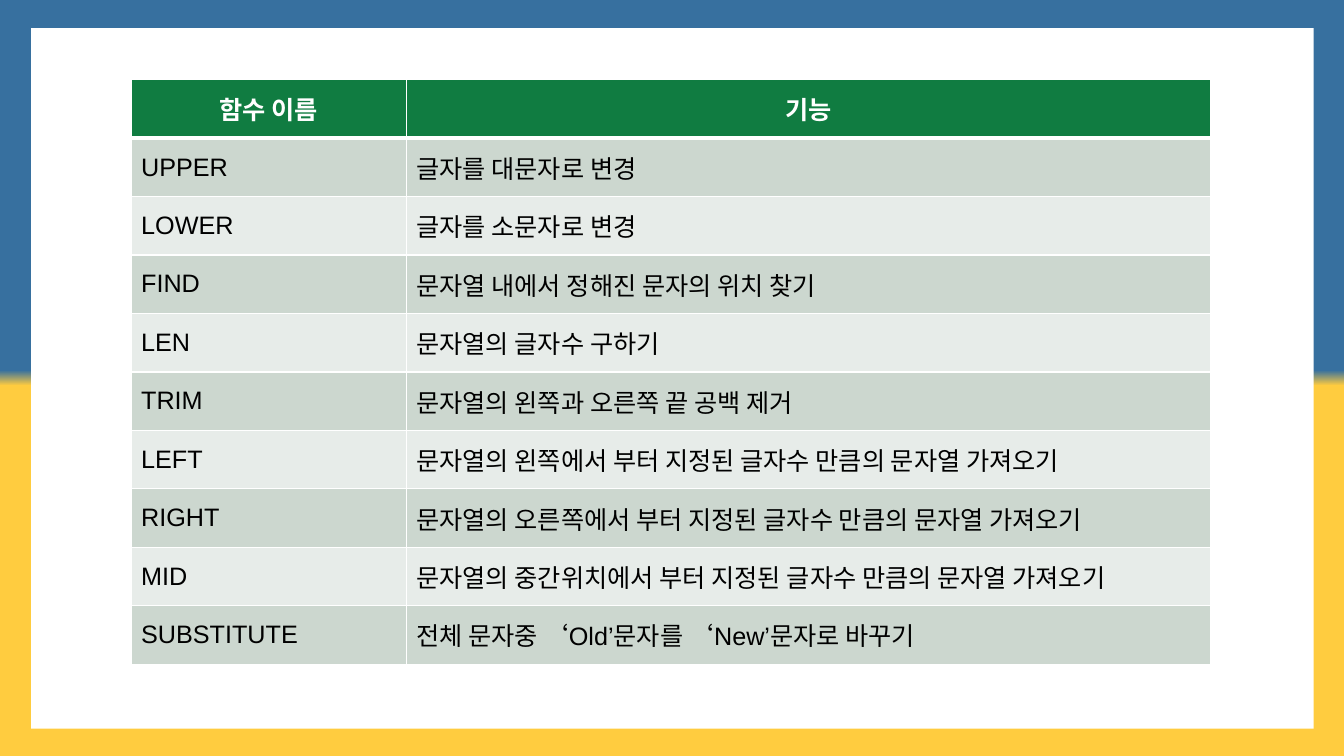
from copy import deepcopy

from lxml import etree
from pptx import Presentation
from pptx.dml.color import RGBColor
from pptx.enum import shapes, text
from pptx.oxml.ns import qn
from pptx.util import Inches, Pt

BLUE = RGBColor(0x37, 0x70, 0x9F)
YELLOW = RGBColor(0xFF, 0xCC, 0x3F)
WHITE = RGBColor(0xFF, 0xFF, 0xFF)
BLACK = RGBColor(0, 0, 0)
GREEN = RGBColor(0x10, 0x7C, 0x41)
DARK = RGBColor(0xCC, 0xD7, 0xCF)
LIGHT = RGBColor(0xE7, 0xEC, 0xE9)

HEAD = ("함수 이름", "기능")
FUNCS = [
    ("UPPER", "글자를 대문자로 변경"),
    ("LOWER", "글자를 소문자로 변경"),
    ("FIND", "문자열 내에서 정해진 문자의 위치 찾기"),
    ("LEN", "문자열의 글자수 구하기"),
    ("TRIM", "문자열의 왼쪽과 오른쪽 끝 공백 제거"),
    ("LEFT", "문자열의 왼쪽에서 부터 지정된 글자수 만큼의 문자열 가져오기"),
    ("RIGHT", "문자열의 오른쪽에서 부터 지정된 글자수 만큼의 문자열 가져오기"),
    ("MID", "문자열의 중간위치에서 부터 지정된 글자수 만큼의 문자열 가져오기"),
    ("SUBSTITUTE", "전체 문자중 ‘Old’문자를 ‘New’문자로 바꾸기"),
]


def paint_back(slide):
    """Blue above yellow, with a short blend at mid-height."""
    fill = slide.background.fill
    fill.gradient()
    fill.gradient_angle = 270
    stops = slide.element.find(".//" + qn("a:gsLst"))
    for stop in list(stops):
        stops.append(deepcopy(stop))
    marks = ((0, BLUE), (0.49, BLUE), (0.51, YELLOW), (1, YELLOW))
    for stop, (pos, color) in zip(fill.gradient_stops, marks):
        stop.position = pos
        stop.color.rgb = color


def add_panel(slide, x, y, w, h):
    panel = slide.shapes.add_shape(
        shapes.MSO_SHAPE.RECTANGLE, Inches(x), Inches(y), Inches(w), Inches(h))
    panel.shadow.inherit = False
    panel.fill.solid()
    panel.fill.fore_color.rgb = WHITE
    panel.line.fill.background()


def add_edges(cell, top, bottom):
    """White borders; top and bottom are widths in points."""
    props = cell._tc.get_or_add_tcPr()
    for side, width in (("L", 1), ("R", 1), ("T", top), ("B", bottom)):
        line = etree.SubElement(props, qn("a:ln" + side), w=str(Pt(width)))
        fill = etree.SubElement(line, qn("a:solidFill"))
        etree.SubElement(fill, qn("a:srgbClr"), val=str(WHITE))


def fill_cell(cell, words, row):
    head = row == 0
    add_edges(cell, 3 if row == 1 else 1, 3 if head else 1)
    cell.fill.solid()
    cell.fill.fore_color.rgb = GREEN if head else DARK if row % 2 else LIGHT
    cell.vertical_anchor = text.MSO_ANCHOR.MIDDLE
    para = cell.text_frame.paragraphs[0]
    para.alignment = text.PP_ALIGN.CENTER if head else text.PP_ALIGN.LEFT
    run = para.add_run()
    run.text = words
    run.font.name = "Arial"
    run.font.size = Pt(18)
    run.font.bold = head
    run.font.color.rgb = WHITE if head else BLACK


def add_funcs(slide, x, y, w, h):
    rows = [HEAD] + FUNCS
    table = slide.shapes.add_table(
        len(rows), 2, Inches(x), Inches(y), Inches(w), Inches(h)).table
    name = 2.73
    table.columns[0].width = Inches(name)
    table.columns[1].width = Inches(w - name)
    for r, items in enumerate(rows):
        table.rows[r].height = Inches(h / len(rows))
        for c, words in enumerate(items):
            fill_cell(table.cell(r, c), words, r)


def main():
    deck = Presentation()
    deck.slide_width = Inches(13.33)
    deck.slide_height = Inches(7.5)
    slide = deck.slides.add_slide(deck.slide_layouts[6])
    paint_back(slide)
    add_panel(slide, 0.31, 0.28, 12.72, 6.95)
    add_funcs(slide, 1.3, 0.79, 10.71, 5.8)
    deck.save("out.pptx")


if __name__ == "__main__":
    main()
